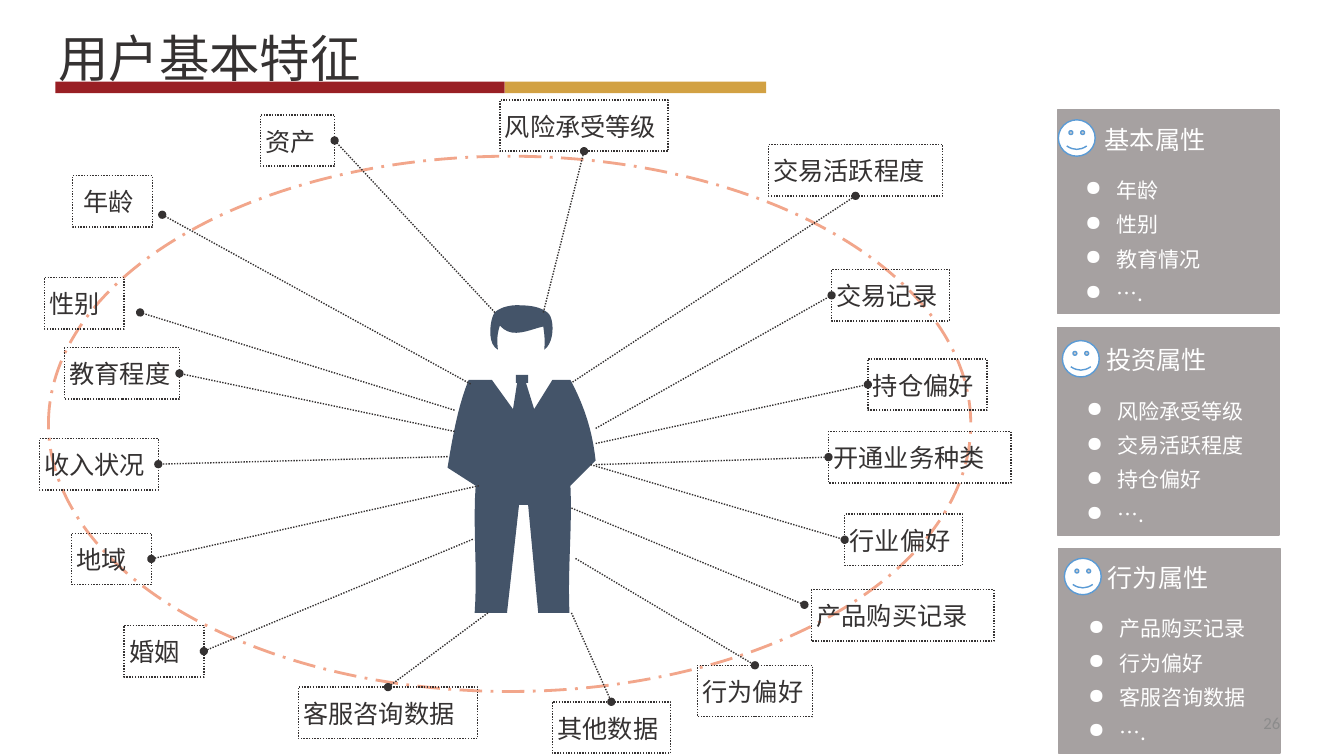
from dataclasses import dataclass

import pptx
import pptx.dml.color
import pptx.enum.dml
import pptx.enum.shapes
import pptx.enum.text
import pptx.oxml.ns
import pptx.util
from lxml import etree

Pt = pptx.util.Pt
SHAPES = pptx.enum.shapes.MSO_SHAPE
ALIGN = pptx.enum.text.PP_ALIGN
ANCHOR = pptx.enum.text.MSO_ANCHOR
DASH = pptx.enum.dml.MSO_LINE
TOP, LEFT, BOTTOM, RIGHT = range(4)
FONT = "Noto Sans CJK SC"
COLORS = {
    "ink": "353232", "white": "FFFFFF", "person": "445469", "orbit": "F2A68B",
    "panel": "A6A1A1", "face": "5B9BD5", "red": "991F24", "gold": "D2A143",
    "number": "8C8C8C",
}
LABEL_HEIGHT = 36.7
PANEL_WIDTH = 158.4


@dataclass
class Trait:
    text: str
    left: float
    top: float
    width: float
    start: tuple[float, float]
    side: int | None = None
    end: tuple[float, float] = (0, 0)
    inset: float = 3.6


@dataclass
class Panel:
    heading: str
    items: list[str]
    left: float
    top: float
    height: float
    face_left: float
    heading_left: float
    heading_top: float


TRAITS = [
    Trait("资产", 186, 82, 53, (353.5, 223.2), RIGHT),
    Trait("交易活跃程度", 548.8, 103.2, 124.6, (409, 272.9), BOTTOM),
    Trait("年龄", 51.8, 125.5, 57, (336.2, 274.3), end=(115.9, 153.4), inset=8),
    Trait("性别", 31.7, 198.2, 57, (324.7, 293), end=(100.1, 223.2)),
    Trait("教育程度", 46.1, 248.4, 82.1, (324.7, 308.2), RIGHT),
    Trait("收入状况", 28.1, 313.2, 85, (319.7, 326.2), RIGHT),
    Trait("风险承受等级", 357.1, 71.3, 120.2, (388.1, 223.2), BOTTOM),
    Trait("交易记录", 594, 192.6, 84.2, (425.5, 306), LEFT),
    Trait("地域", 51.1, 380.9, 57, (342, 347), RIGHT),
    Trait("婚姻", 88.6, 446.8, 57, (337.7, 385.2), RIGHT),
    Trait("持仓偏好", 619.9, 256.3, 85, (425.5, 316.8), LEFT),
    Trait("开通业务种类", 591.8, 308.2, 130.3, (425.5, 331.9), LEFT),
    Trait("行业偏好", 603.4, 367.2, 84.2, (421.9, 331.9), LEFT),
    Trait("产品购买记录", 579.6, 421.2, 130.3, (408.2, 362.9), end=(574.6, 432)),
    Trait("行为偏好", 498.2, 475.2, 82.1, (411.1, 398.9), TOP),
    Trait("客服咨询数据", 213.1, 490.8, 128.2, (348.5, 437.8), TOP),
    Trait("其他数据", 394.6, 501.3, 84.2, (408.2, 437.8), TOP),
]
PANELS = [
    Panel("基本属性", ["年龄", "性别", "教育情况", "…."],
          755.3, 78.5, 145.4, 756, 785.5, 80.6),
    Panel("投资属性", ["风险承受等级", "交易活跃程度", "持仓偏好", "…."],
          755.3, 234, 148.3, 758.9, 786.5, 238.3),
    Panel("行为属性", ["产品购买记录", "行为偏好", "客服咨询数据", "…."],
          756, 391.7, 146.2, 760.3, 787.7, 393.8),
]
# A pair is a corner; six numbers are a curve with two control points.
BODY = [
    (368.6, 267.8), (377.3, 267.8), (377.3, 273.6), (375.8, 273.6), (381.6, 292.3),
    (394.6, 271.4), (407.5, 271.4), (417.6, 290.2, 423.4, 308.9, 425.5, 329),
    (407.5, 347), (408.9, 377.3, 405.4, 407.5, 406.8, 437.8), (384.5, 437.8),
    (377.3, 360.7), (370.8, 360.7), (362.2, 437.8), (339.1, 437.8),
    (341.3, 407.5, 337.7, 377.3, 339.8, 347), (319.7, 334.1),
    (323.3, 312.5, 326.9, 290.9, 334.8, 271.4), (351.4, 271.4), (366.5, 292.3),
    (369.4, 273.6), (368.6, 273.6),
]
HAIR = [
    (373, 218.2), (380.9, 218.2, 388.8, 220.3, 392.4, 224.6),
    (396, 229.7, 396, 244.8, 388.8, 249.8), (389.5, 242.6, 388.8, 238.3, 388.1, 233.3),
    (378, 235.4, 365.8, 242.6, 357.1, 232.6), (355, 239, 355, 243.4, 355.7, 249.8),
    (347, 245.5, 350.6, 226.1, 353.5, 223.2), (357.1, 219.6, 365, 217.4, 373, 218.2),
]


def color(name: str) -> pptx.dml.color.RGBColor:
    return pptx.dml.color.RGBColor.from_string(COLORS[name])


def add_box(page, kind, bounds, fill=None, line=None, weight=1, dash=None):
    box = page.shapes.add_shape(kind, *map(Pt, bounds))
    paint(box, fill, line, weight, dash)
    return box


def paint(box, fill=None, line=None, weight=1, dash=None) -> None:
    box.shadow.inherit = False
    if fill:
        box.fill.solid()
        box.fill.fore_color.rgb = color(fill)
    else:
        box.fill.background()
    if line:
        box.line.color.rgb = color(line)
        box.line.width = Pt(weight)
        box.line.dash_style = dash
    else:
        box.line.fill.background()


def write(box, lines: list[str], size: float, ink: str, inset=3.6, left_inset=None,
          anchor=ANCHOR.TOP, align=ALIGN.LEFT, font=FONT, spacing=1.2, bullet=False) -> None:
    frame = box.text_frame
    frame.word_wrap = True
    frame.auto_size = pptx.enum.text.MSO_AUTO_SIZE.NONE
    frame.vertical_anchor = anchor
    frame.margin_left = Pt(left_inset or inset)
    frame.margin_right = frame.margin_top = frame.margin_bottom = Pt(inset)
    for index, line in enumerate(lines):
        para = frame.paragraphs[0] if index == 0 else frame.add_paragraph()
        para.text = line
        para.alignment = align
        para.line_spacing = spacing
        para.space_before = Pt(3 if index else 0)
        properties = para._p.get_or_add_pPr()
        if bullet:
            properties.set("marL", str(Pt(22.5)))
            properties.set("indent", str(-Pt(22.5)))
            mark = etree.SubElement(properties, pptx.oxml.ns.qn("a:buChar"))
            mark.set("char", "●")
        para.font.size = Pt(size)
        para.font.name = font
        para.font.color.rgb = color(ink)
        defaults = properties.find(pptx.oxml.ns.qn("a:defRPr"))
        east_asian = etree.SubElement(defaults, pptx.oxml.ns.qn("a:ea"))
        east_asian.set("typeface", font)


def add_text(page, bounds, lines: list[str], size: float, ink: str, **options) -> None:
    write(page.shapes.add_textbox(*map(Pt, bounds)), lines, size, ink, **options)


def add_trait(page, trait: Trait) -> None:
    box = add_box(page, SHAPES.RECTANGLE, (trait.left, trait.top, trait.width, LABEL_HEIGHT),
                  line="ink", dash=DASH.ROUND_DOT)
    write(box, [trait.text], 18, "ink", left_inset=trait.inset)
    ray = page.shapes.add_connector(pptx.enum.shapes.MSO_CONNECTOR.STRAIGHT,
                                    *map(Pt, trait.start + trait.end))
    if trait.side is not None:
        ray.end_connect(box, trait.side)
    ray.line.color.rgb = color("ink")
    ray.line.width = Pt(1)
    ray.line.dash_style = DASH.ROUND_DOT
    tail = etree.SubElement(ray.line._get_or_add_ln(), pptx.oxml.ns.qn("a:tailEnd"))
    tail.set("type", "oval")
    etree.SubElement(ray._element.spPr, pptx.oxml.ns.qn("a:effectLst"))


def add_panel(page, panel: Panel) -> None:
    add_box(page, SHAPES.RECTANGLE, (panel.left, panel.top, PANEL_WIDTH, panel.height),
            "panel", "panel")
    add_box(page, SHAPES.SMILEY_FACE, (panel.face_left, panel.heading_top + 5, 26.3, 26),
            "white", "face")
    add_text(page, (panel.heading_left, panel.heading_top, 110, LABEL_HEIGHT),
             [panel.heading], 18, "white")
    add_text(page, (panel.heading_left - 14, panel.heading_top + 38.9, 125, 106.6),
             panel.items, 15, "white", bullet=True)


def trace(outline: list[tuple[float, ...]], steps: int = 10) -> list[tuple[int, int]]:
    points = [outline[0]]
    for part in outline[1:]:
        if len(part) == 2:
            points.append(part)
            continue
        knots = [points[-1], part[:2], part[2:4], part[4:]]
        for step in range(1, steps + 1):
            t = step / steps
            weights = ((1 - t) ** 3, 3 * t * (1 - t) ** 2, 3 * t * t * (1 - t), t ** 3)
            points.append(tuple(sum(w * k[axis] for w, k in zip(weights, knots))
                                for axis in (0, 1)))
    return [(Pt(x), Pt(y)) for x, y in points]


def add_person(page) -> None:
    body, hair = trace(BODY), trace(HAIR)
    builder = page.shapes.build_freeform(*body[0])
    builder.add_line_segments(body[1:], close=True)
    builder.move_to(*hair[0])
    builder.add_line_segments(hair[1:], close=True)
    paint(builder.convert_to_shape(), "person")


def main() -> None:
    deck = pptx.Presentation()
    deck.slide_width, deck.slide_height = Pt(960), Pt(540)
    page = deck.slides.add_slide(deck.slide_layouts[5])

    # Title and its two-colour rule
    title = page.shapes.title
    title.left, title.top, title.width, title.height = map(Pt, (37.4, 10.1, 771, 53.3))
    write(title, ["用户基本特征"], 36, "ink", inset=4.3, anchor=ANCHOR.MIDDLE)
    add_box(page, SHAPES.RECTANGLE, (39.6, 58.3, 320.8, 8.3), "red")
    add_box(page, SHAPES.RECTANGLE, (360.7, 58.3, 186.5, 8.3), "gold")

    # Person with the traits around it
    add_person(page)
    add_box(page, SHAPES.OVAL, (34.6, 111.6, 658.8, 382.3), line="orbit", weight=2,
            dash=DASH.LONG_DASH_DOT)
    for trait in TRAITS:
        add_trait(page, trait)

    # Attribute panels
    for panel in PANELS:
        add_panel(page, panel)

    # Page number
    add_text(page, (692.6, 508.3, 229, 16.6), ["26"], 12, "number", inset=7.2,
             anchor=ANCHOR.MIDDLE, align=ALIGN.RIGHT, font="Calibri", spacing=1)
    deck.save("out.pptx")


if __name__ == "__main__":
    main()
